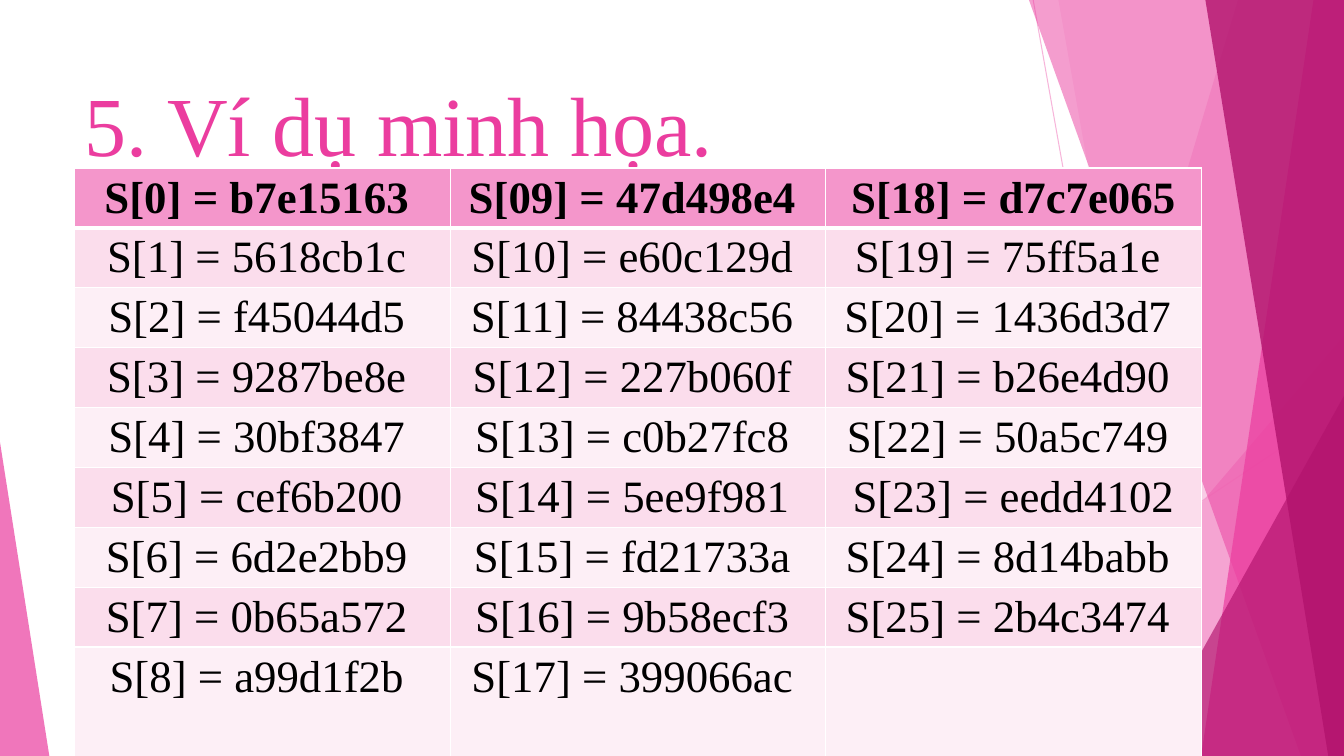
from lxml import etree
from pptx import Presentation
from pptx import util as u
from pptx.dml.color import RGBColor
from pptx.enum import shapes, text
from pptx.oxml import ns

PX = 9525
WIDTH, HEIGHT = 1280, 720
FONT = "Times New Roman"
WHITE = RGBColor(0xFF, 0xFF, 0xFF)
BLACK = RGBColor(0x00, 0x00, 0x00)
LIGHT_PINK = RGBColor(0xF4, 0x96, 0xCB)
PINK = RGBColor(0xEB, 0x3D, 0x9F)
MAGENTA = RGBColor(0xB2, 0x13, 0x6D)
ODD_ROW = RGBColor(0xFB, 0xDD, 0xEC)
EVEN_ROW = RGBColor(0xFD, 0xEF, 0xF6)

KEY_COLUMNS = [
    ["S[0] = b7e15163 ", "S[1] = 5618cb1c ", "S[2] = f45044d5 ",
     "S[3] = 9287be8e ", "S[4] = 30bf3847 ", "S[5] = cef6b200 ",
     "S[6] = 6d2e2bb9 ", "S[7] = 0b65a572 ", "S[8] = a99d1f2b "],
    ["S[09] = 47d498e4 ", "S[10] = e60c129d ", "S[11] = 84438c56 ",
     "S[12] = 227b060f ", "S[13] = c0b27fc8 ", "S[14] = 5ee9f981 ",
     "S[15] = fd21733a ", "S[16] = 9b58ecf3 ", "S[17] = 399066ac "],
    [" S[18] = d7c7e065 ", "S[19] = 75ff5a1e ", "S[20] = 1436d3d7 ",
     "S[21] = b26e4d90 ", "S[22] = 50a5c749 ", "S[23] = eedd4102",
     "S[24] = 8d14babb ", "S[25] = 2b4c3474 ", ""],
]


def px(*lengths):
    return [u.Emu(length * PX) for length in lengths]


def write(frame, words, size, color, bold=False, align=text.PP_ALIGN.LEFT):
    paragraph = frame.paragraphs[0]
    paragraph.alignment = align
    run = paragraph.add_run()
    run.text = words
    run.font.name = FONT
    run.font.size = u.Pt(size)
    run.font.bold = bold
    run.font.color.rgb = color


def set_alpha(fill_parent, percent):
    for color in fill_parent.iter(ns.qn("a:srgbClr")):
        etree.SubElement(color, ns.qn("a:alpha"), val=str(percent * 1000))


def paint(shape, color, opacity):
    shape.shadow.inherit = False
    shape.fill.solid()
    shape.fill.fore_color.rgb = color
    shape.line.fill.background()
    set_alpha(shape.element.spPr, opacity)


def add_thin_line(slide, start, end):
    line = slide.shapes.add_connector(
        shapes.MSO_CONNECTOR.STRAIGHT, *px(*start, *end))
    line.line.color.rgb = LIGHT_PINK
    line.line.width = u.Pt(0.75)
    properties = line.element.spPr
    set_alpha(properties, 70)
    etree.SubElement(properties, ns.qn("a:effectLst"))


def add_band(slide, top_left, bottom_left, color, opacity):
    """Full-height band from a slanted left side to the right slide edge."""
    builder = slide.shapes.build_freeform(top_left, 0, scale=PX)
    builder.add_line_segments(
        [(WIDTH, 0), (WIDTH, HEIGHT), (bottom_left, HEIGHT)], close=True)
    paint(builder.convert_to_shape(), color, opacity)


def add_triangle(slide, box, apex, color, opacity):
    triangle = slide.shapes.add_shape(
        shapes.MSO_SHAPE.ISOSCELES_TRIANGLE, *px(*box))
    triangle.adjustments[0] = apex
    paint(triangle, color, opacity)


def add_facets(slide):
    add_thin_line(slide, (984, 0), (1112, HEIGHT))
    add_thin_line(slide, (WIDTH, 387), (780, HEIGHT))
    add_band(slide, 1179, 964, LIGHT_PINK, 36)
    add_band(slide, 1008, 1136, LIGHT_PINK, 20)
    add_triangle(slide, (938, 320, 342, 400), 1, LIGHT_PINK, 72)
    add_band(slide, 980, 1239, PINK, 50)
    add_band(slide, 1251, 1144, PINK, 70)
    add_band(slide, 1148, 1265, MAGENTA, 80)
    add_triangle(slide, (1089, 377, 191, 343), 1, MAGENTA, 66)
    add_triangle(slide, (0, 421, 47, 299), 0, PINK, 70)


def add_title(slide, box):
    title = slide.shapes.title
    title.left, title.top, title.width, title.height = px(*box)
    frame = title.text_frame
    frame.auto_size = text.MSO_AUTO_SIZE.NONE
    frame.vertical_anchor = text.MSO_ANCHOR.TOP
    write(frame, "5. Ví dụ minh họa.", 60, PINK)


def set_borders(cell, **points):
    properties = cell._tc.get_or_add_tcPr()
    for side in "LRTB":
        width = u.Pt(points.get(side, 1))
        line = etree.SubElement(properties, ns.qn(f"a:ln{side}"), w=str(width))
        fill = etree.SubElement(line, ns.qn("a:solidFill"))
        etree.SubElement(fill, ns.qn("a:srgbClr"), val=str(WHITE))


def add_key_table(slide, box, row_height):
    """Table whose last row takes the height left over in the box."""
    row_count, column_count = len(KEY_COLUMNS[0]), len(KEY_COLUMNS)
    table = slide.shapes.add_table(row_count, column_count, *px(*box)).table
    for column in table.columns:
        column.width = u.Emu(box[2] * PX // column_count)
    for row in table.rows:
        row.height = u.Emu(row_height * PX)
    table.rows[row_count - 1].height = u.Emu(
        (box[3] - row_height * (row_count - 1)) * PX)

    for c, keys in enumerate(KEY_COLUMNS):
        for r, key in enumerate(keys):
            cell = table.cell(r, c)
            set_borders(cell, T=3 if r == 1 else 1, B=3 if r == 0 else 1)
            cell.fill.solid()
            cell.fill.fore_color.rgb = (
                LIGHT_PINK if r == 0 else ODD_ROW if r % 2 else EVEN_ROW)
            if key:
                write(cell.text_frame, key, 32, BLACK, bold=r == 0,
                      align=text.PP_ALIGN.CENTER)


def main():
    presentation = Presentation()
    presentation.slide_width, presentation.slide_height = px(WIDTH, HEIGHT)
    slide = presentation.slides.add_slide(presentation.slide_layouts[5])
    add_facets(slide)
    add_title(slide, (71, 64, 902, 138))
    add_key_table(slide, (71, 160, 1073, 561), 57)
    presentation.save("out.pptx")


if __name__ == "__main__":
    main()
